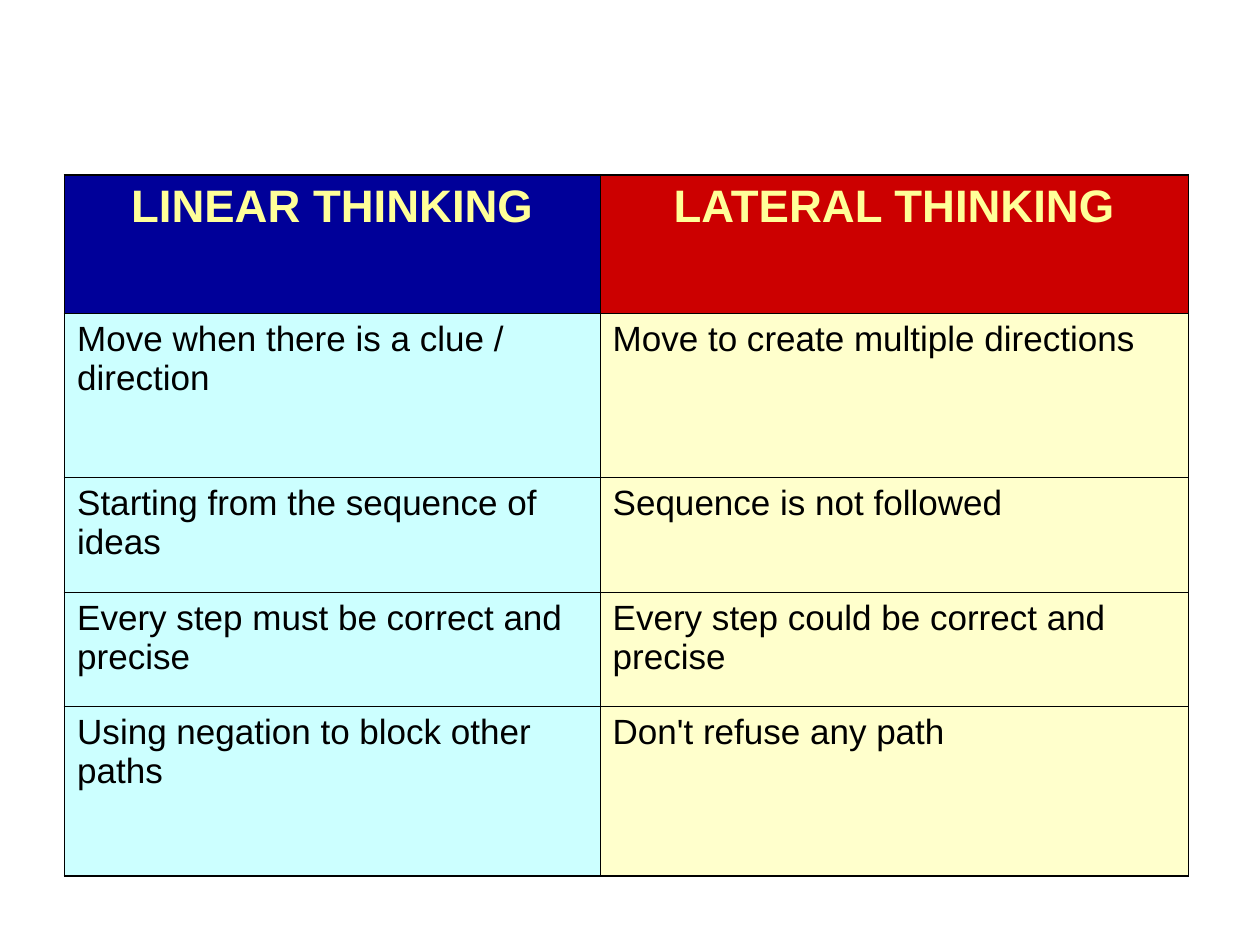
from lxml.etree import SubElement as Sub
from pptx import Presentation
from pptx.dml.color import RGBColor as RGB
from pptx.enum.text import PP_ALIGN as Align
from pptx.oxml.ns import qn
from pptx.util import Pt

NAVY = RGB(0x00, 0x00, 0x99)
RED = RGB(0xCC, 0x00, 0x00)
CREAM = RGB(0xFF, 0xFF, 0x99)
AQUA = RGB(0xCC, 0xFF, 0xFF)
PALE = RGB(0xFF, 0xFF, 0xCC)
BLACK = RGB(0x00, 0x00, 0x00)

THIN, THICK = Pt(0.45), Pt(1.08)
WIDTHS = [306, 336.24]
HEIGHTS = [79.2, 93.4, 66.2, 64.8, 97]
ROWS = [
    ("LINEAR THINKING", "LATERAL THINKING"),
    ("Move when there is a clue / direction", "Move to create multiple directions"),
    ("Starting from the sequence of ideas", "Sequence is not followed"),
    ("Every step must be correct and precise", "Every step could be correct and precise"),
    ("Using negation to block other paths", "Don't refuse any path"),
]


def set_edges(cell, row, col):
    """Draw thick lines on the outside of the table and thin ones within."""
    outer = {
        "a:lnL": col == 0,
        "a:lnR": col == len(WIDTHS) - 1,
        "a:lnT": row == 0,
        "a:lnB": row == len(ROWS) - 1,
    }
    props = cell._tc.get_or_add_tcPr()
    for tag, thick in outer.items():
        line = Sub(props, qn(tag), w=str(THICK if thick else THIN))
        fill = Sub(line, qn("a:solidFill"))
        Sub(fill, qn("a:srgbClr"), val=str(BLACK))


def set_text(cell, text, head):
    cell.text_frame.text = text
    para = cell.text_frame.paragraphs[0]
    para.alignment = Align.CENTER if head else Align.LEFT
    para.space_before = Pt(6.5 if head else 5)
    font = para.runs[0].font
    font.name = "Arial"
    font.size = Pt(26 if head else 20)
    font.bold = head
    font.color.rgb = CREAM if head else BLACK


def add_grid(slide):
    frame = slide.shapes.add_table(
        len(ROWS), len(WIDTHS), Pt(36.9), Pt(100),
        Pt(sum(WIDTHS)), Pt(sum(HEIGHTS)))
    table = frame.table
    for col, width in zip(table.columns, WIDTHS):
        col.width = Pt(width)
    for row, height in zip(table.rows, HEIGHTS):
        row.height = Pt(height)
    for r, texts in enumerate(ROWS):
        fills = (AQUA, PALE) if r else (NAVY, RED)
        for c, text in enumerate(texts):
            cell = table.cell(r, c)
            set_edges(cell, r, c)
            cell.fill.solid()
            cell.fill.fore_color.rgb = fills[c]
            set_text(cell, text, r == 0)


def main():
    deck = Presentation()
    deck.slide_width, deck.slide_height = Pt(720), Pt(540)
    add_grid(deck.slides.add_slide(deck.slide_layouts[6]))
    deck.save("out.pptx")


if __name__ == "__main__":
    main()
